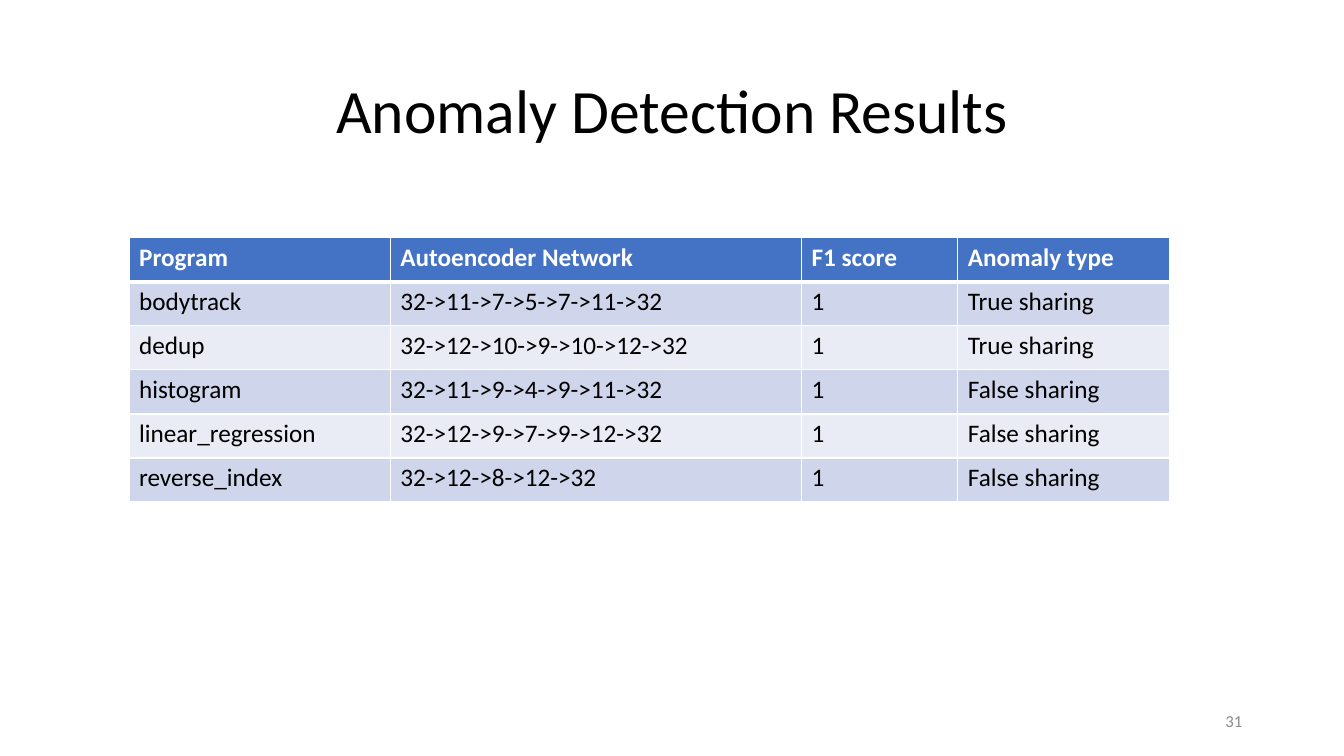
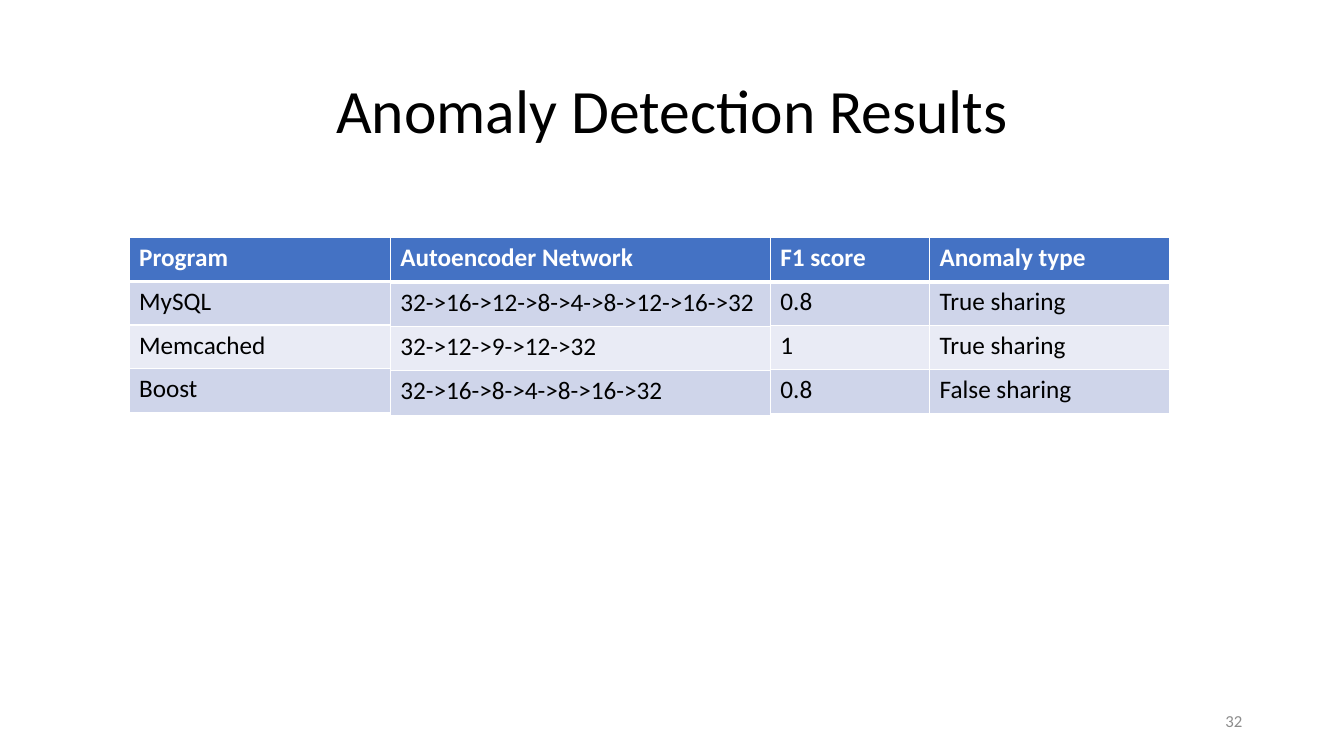
from dataclasses import dataclass

from lxml import etree
from pptx import Presentation
from pptx.dml.color import RGBColor
from pptx.enum.text import MSO_ANCHOR, MSO_AUTO_SIZE, PP_ALIGN
from pptx.oxml.ns import qn
from pptx.util import Inches, Pt

MIDDLE = MSO_ANCHOR.MIDDLE
NO_FIT = MSO_AUTO_SIZE.NONE
CENTER, RIGHT = PP_ALIGN.CENTER, PP_ALIGN.RIGHT
TITLE_ONLY = 5


@dataclass(frozen=True)
class Theme:
    font: str = "Calibri"
    text: str = "000000"
    header_text: str = "FFFFFF"
    header_fill: str = "4472C4"
    bands: tuple = ("CFD5EA", "E9EBF5")
    border: str = "FFFFFF"
    footer: str = "8C8C8C"
    title_size: int = 44
    table_size: int = 18
    footer_size: int = 12
    thin: int = 1
    thick: int = 3


THEME = Theme()

# Boxes are left, top, width, height in inches
TITLE_BOX = (0.92, 0.4, 11.5, 1.45)
NUMBER_BOX = (9.42, 6.95, 3, 0.4)
TABLE_LEFT, TABLE_TOP = 1.28, 2.36

HEADERS = ("Program", "Autoencoder Network", "F1 score", "Anomaly type")
TITLE = "Anomaly Detection Results"
FIRST_NUMBER = 31

# Each page has column widths, column heights and rows of results
PAGES = (
    {
        "widths": (2.59, 4.08, 1.55, 2.1),
        "heights": (2.62, 2.62, 2.62, 2.62),
        "results": (
            ("bodytrack", "32->11->7->5->7->11->32", "1", "True sharing"),
            ("dedup", "32->12->10->9->10->12->32", "1", "True sharing"),
            ("histogram", "32->11->9->4->9->11->32", "1", "False sharing"),
            ("linear_regression", "32->12->9->7->9->12->32", "1", "False sharing"),
            ("reverse_index", "32->12->8->12->32", "1", "False sharing"),
        ),
    },
    {
        "widths": (2.59, 3.77, 1.58, 2.38),
        "heights": (1.73, 1.76, 1.74, 1.74),
        "results": (
            ("MySQL", "32->16->12->8->4->8->12->16->32", "0.8", "True sharing"),
            ("Memcached", "32->12->9->12->32", "1", "True sharing"),
            ("Boost", "32->16->8->4->8->16->32", "0.8", "False sharing"),
        ),
    },
)


def set_all(target, formats):
    for name, value in formats.items():
        setattr(target, name, value)


def style_font(font, size, color, bold=False):
    set_all(font, {"name": THEME.font, "size": Pt(size), "bold": bold})
    font.color.rgb = RGBColor.from_string(color)


def write_line(shape, text, size, color, align, spacing=None):
    """Put one line of text, centred vertically, in a shape."""
    frame = shape.text_frame
    set_all(frame, {"text": text, "word_wrap": True, "auto_size": NO_FIT,
                    "vertical_anchor": MIDDLE})
    para = frame.paragraphs[0]
    set_all(para, {"alignment": align, "line_spacing": spacing})
    style_font(para.runs[0].font, size, color)


def add_borders(cell, top, bottom):
    """Draw the four cell borders; widths are in points."""
    properties = cell._tc.get_or_add_tcPr()
    widths = {"lnL": THEME.thin, "lnR": THEME.thin, "lnT": top, "lnB": bottom}
    for side, width in widths.items():
        line = etree.SubElement(properties, qn(f"a:{side}"), w=str(Pt(width)))
        fill = etree.SubElement(line, qn("a:solidFill"))
        etree.SubElement(fill, qn("a:srgbClr"), val=THEME.border)


def fill_cell(cell, text, row):
    """Format a cell as the header (row 0) or as a banded result."""
    header = row == 0
    add_borders(cell, THEME.thick if row == 1 else THEME.thin,
                THEME.thick if header else THEME.thin)
    color = THEME.header_fill if header else THEME.bands[(row - 1) % 2]
    cell.fill.solid()
    cell.fill.fore_color.rgb = RGBColor.from_string(color)
    cell.text = text
    style_font(cell.text_frame.paragraphs[0].runs[0].font, THEME.table_size,
               THEME.header_text if header else THEME.text, header)


def add_column(page, box, texts):
    """Place a one-column table whose rows share the box height."""
    table = page.shapes.add_table(len(texts), 1, *map(Inches, box)).table
    for row, text in enumerate(texts):
        table.rows[row].height = Inches(box[3] / len(texts))
        fill_cell(table.cell(row, 0), text, row)


def add_results(page, left, top, widths, heights, results):
    """Set the columns side by side; each keeps its own height."""
    columns = zip(HEADERS, *results)
    for width, height, texts in zip(widths, heights, columns):
        add_column(page, (left, top, width, height), texts)
        left += width


def add_title(page, box, text):
    title = page.shapes.title
    left, top, width, height = map(Inches, box)
    set_all(title, {"left": left, "top": top, "width": width, "height": height})
    write_line(title, text, THEME.title_size, THEME.text, CENTER, 0.9)


def add_number(page, box, number):
    shape = page.shapes.add_textbox(*map(Inches, box))
    write_line(shape, str(number), THEME.footer_size, THEME.footer, RIGHT)


def add_results_page(deck, number, content):
    page = deck.slides.add_slide(deck.slide_layouts[TITLE_ONLY])
    add_title(page, TITLE_BOX, TITLE)
    add_results(page, TABLE_LEFT, TABLE_TOP, **content)
    add_number(page, NUMBER_BOX, number)


def main():
    deck = Presentation()
    set_all(deck, {"slide_width": Inches(13.33), "slide_height": Inches(7.5)})
    for number, content in enumerate(PAGES, FIRST_NUMBER):
        add_results_page(deck, number, content)
    deck.save("out.pptx")


if __name__ == "__main__":
    main()
